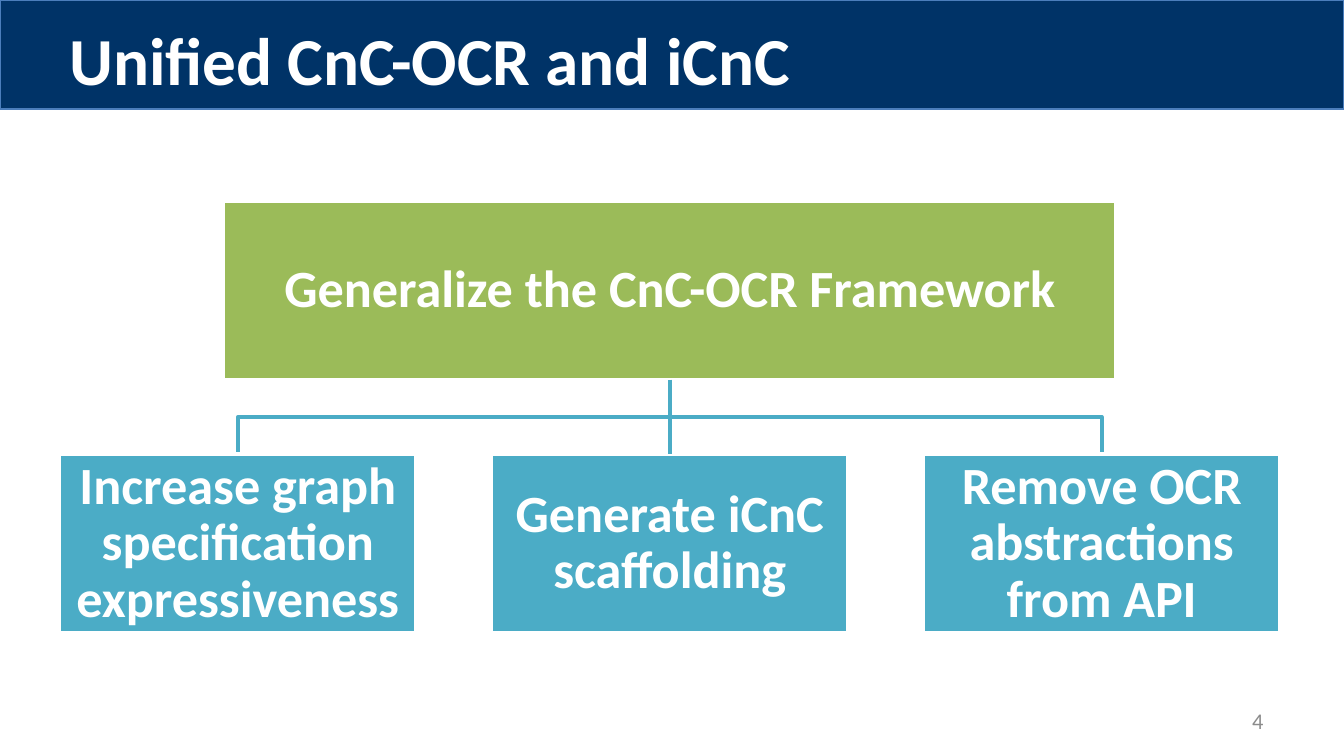
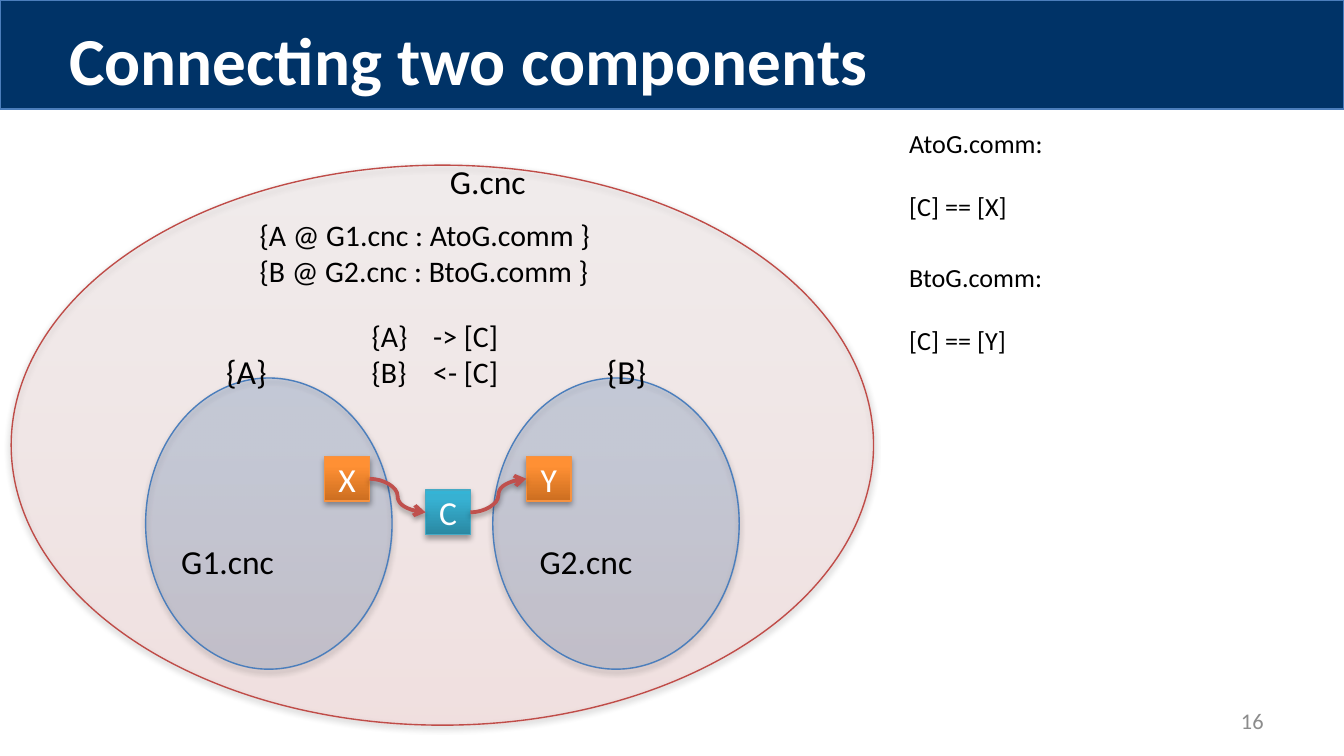
import dataclasses
import typing

import lxml.etree
import pptx
import pptx.dml.color
import pptx.enum.shapes
import pptx.enum.text
import pptx.oxml.ns
import pptx.util

Pt = pptx.util.Pt
qn = pptx.oxml.ns.qn
SHAPE = pptx.enum.shapes.MSO_SHAPE
CONNECTOR = pptx.enum.shapes.MSO_CONNECTOR
ALIGN = pptx.enum.text.PP_ALIGN
MIDDLE = pptx.enum.text.MSO_ANCHOR.MIDDLE

WIDTH, HEIGHT = 720, 405
FONT = "Calibri"
COLORS = {
    "white": "FFFFFF", "black": "000000", "grey": "8C8C8C",
    "navy": "003367", "blue": "4B7EBC", "green": "9BBB59",
    "teal": "4BACC6", "teal edge": "46AAC5", "orange edge": "F69240",
    "red edge": "BF4C48", "arrow": "C0504D",
}
Box = tuple[float, float, float, float]


class Stop(typing.NamedTuple):
    percent: int
    color: str


@dataclasses.dataclass(frozen=True)
class Shadow:
    alpha: int
    blur: float
    distance: float


@dataclasses.dataclass(frozen=True)
class Look:
    """Gradient (from bottom to top), outline and shadow of a shape."""
    stops: tuple[Stop, ...]
    edge: str
    alpha: int = 100
    shadow: Shadow = Shadow(35, 3.1, 1.8)


@dataclasses.dataclass(frozen=True)
class Label:
    box: Box
    lines: tuple[str, ...]
    size: float = 18
    wrap: bool = False
    gap: float = 0
    tab: float = 0


SOFT = Shadow(38, 3.1, 1.6)
GRAPH = Look((Stop(0, "FFA6A5"), Stop(35, "FFC0BF"), Stop(100, "FFE7E7")), "red edge", 18, SOFT)
COMPONENT = Look((Stop(0, "2F5F99"), Stop(80, "3D7CC7"), Stop(100, "3A7CCB")), "blue", 17)
PORT = Look((Stop(0, "CC6E20"), Stop(80, "FF9034"), Stop(100, "FF9136")), "orange edge")
SHARED = Look((Stop(0, "2A88A2"), Stop(80, "37B1D2"), Stop(100, "34B4D6")), "teal edge")


def rgb(name: str):
    return pptx.dml.color.RGBColor.from_string(COLORS[name])


def set_all(target, values: dict) -> None:
    for name, value in values.items():
        setattr(target, name, value)


def add_xml(parent, tag: str, **attributes):
    values = {name: str(value) for name, value in attributes.items()}
    return lxml.etree.SubElement(parent, qn(tag), values)


def write(sp, lines, size, color="black", bold=False, gap=0, tab=0, frame=None, para=None) -> None:
    """Fill a shape with one paragraph per line."""
    tf = sp.text_frame
    set_all(tf, {"word_wrap": True} | (frame or {}))
    for i, line in enumerate(lines):
        p = tf.paragraphs[0] if i == 0 else tf.add_paragraph()
        if tab:
            tabs = add_xml(p._p.get_or_add_pPr(), "a:tabLst")
            add_xml(tabs, "a:tab", pos=Pt(tab), algn="l")
        set_all(p, para or {})
        if i and gap:
            p.space_before = Pt(gap)
        r = p.add_run()
        r.text = line
        set_all(r.font, {"name": FONT, "size": Pt(size), "bold": bold})
        r.font.color.rgb = rgb(color)


def add_text(s, box: Box, lines, size: float, **options) -> None:
    write(s.shapes.add_textbox(*map(Pt, box)), lines, size, **options)


def add_label(s, label: Label) -> None:
    add_text(s, label.box, label.lines, label.size, gap=label.gap, tab=label.tab,
             frame={"word_wrap": label.wrap})


def set_line(sp, color: str, width: float) -> None:
    sp.line.color.rgb = rgb(color)
    sp.line.width = Pt(width)


def add_rect(s, box: Box, fill: str, edge: str, width: float):
    sp = s.shapes.add_shape(SHAPE.RECTANGLE, *map(Pt, box))
    sp.shadow.inherit = False
    sp.fill.solid()
    sp.fill.fore_color.rgb = rgb(fill)
    set_line(sp, edge, width)
    return sp


def add_shadow(effects, shadow: Shadow) -> None:
    outer = add_xml(effects, "a:outerShdw", blurRad=Pt(shadow.blur), dist=Pt(shadow.distance),
                    dir=5400000, rotWithShape=0)
    color = add_xml(outer, "a:srgbClr", val=COLORS["black"])
    add_xml(color, "a:alpha", val=shadow.alpha * 1000)


def add_glossy(s, kind, box: Box, look: Look):
    """Add a shape with a gradient and a shadow."""
    sp = s.shapes.add_shape(kind, *map(Pt, box))
    sp.fill.gradient()
    sp.fill.gradient_angle = 90
    stops = sp._element.spPr.find(".//" + qn("a:gsLst"))
    for old in list(stops):
        stops.remove(old)
    for stop in look.stops:
        gs = add_xml(stops, "a:gs", pos=stop.percent * 1000)
        color = add_xml(gs, "a:srgbClr", val=stop.color)
        if look.alpha < 100:
            add_xml(color, "a:alpha", val=look.alpha * 1000)
    set_line(sp, look.edge, 0.75)
    sp.shadow.inherit = False
    add_shadow(sp._element.spPr.find(qn("a:effectLst")), look.shadow)
    return sp


def add_link(s, kind, start, start_side: int, end, end_side: int, color: str,
             arrow: bool = False, shadow: Shadow | None = None) -> None:
    cx = s.shapes.add_connector(kind, 0, 0, 0, 0)
    cx.begin_connect(start, start_side)
    cx.end_connect(end, end_side)
    set_line(cx, color, 2)
    if arrow:
        add_xml(cx.line._get_or_add_ln(), "a:tailEnd", type="arrow")
    effects = add_xml(cx._element.spPr, "a:effectLst")
    if shadow:
        add_shadow(effects, shadow)


def add_elbow(s, points: list[tuple[float, float]]) -> None:
    (x, y), *rest = [(Pt(a), Pt(b)) for a, b in points]
    builder = s.shapes.build_freeform(x, y)
    builder.add_line_segments(rest, close=False)
    sp = builder.convert_to_shape()
    sp.shadow.inherit = False
    sp.fill.background()
    set_line(sp, "teal", 2)


def add_header(s, title: str) -> None:
    add_rect(s, (0, 0, WIDTH, 58.5), "navy", "blue", 0.75)
    add_text(s, (30, 6.5, 660, 51), [title], 36, color="white", bold=True)


def add_number(s, number: int) -> None:
    add_text(s, (516, 375.4, 168, 21.6), [str(number)], 12, color="grey",
             frame={"vertical_anchor": MIDDLE}, para={"alignment": ALIGN.RIGHT})


def add_goal(s, center: float, top: float, width: float, height: float, fill: str, words: str):
    sp = add_rect(s, (center - width / 2, top, width, height), fill, "white", 2)
    margins = {"margin_" + side: Pt(1.4) for side in ("left", "top", "right", "bottom")}
    write(sp, [words], 28, color="white", bold=True, frame={"vertical_anchor": MIDDLE} | margins,
          para={"alignment": ALIGN.CENTER, "line_spacing": 0.9})
    return sp


def build_goals(s) -> None:
    add_header(s, "Unified CnC-OCR and iCnC")
    center, pitch, height = 358.8, 231.4, 95.6
    top, child_top = 107.8, 243.4
    bottom = top + height
    middle = (bottom + child_top) / 2
    for side in (1, -1):
        x = center + side * pitch
        add_elbow(s, [(center, bottom), (center, middle), (x, middle), (x, child_top)])
    parent = add_goal(s, center, top, 478.6, height, "green", "Generalize the CnC-OCR Framework")
    goals = ("Increase graph specification expressiveness", "Generate iCnC scaffolding",
             "Remove OCR abstractions from API")
    children = [add_goal(s, center + (i - 1) * pitch, child_top, 191.4, height, "teal", goal)
                for i, goal in enumerate(goals)]
    add_link(s, CONNECTOR.STRAIGHT, parent, 2, children[1], 0, "teal")
    add_number(s, 4)


def add_square(s, left: float, top: float, look: Look, letter: str):
    sp = add_glossy(s, SHAPE.RECTANGLE, (left, top, 24, 24), look)
    write(sp, [letter], 18, color="white", frame={"vertical_anchor": MIDDLE},
          para={"alignment": ALIGN.CENTER})
    return sp


def build_components(s) -> None:
    add_glossy(s, SHAPE.OVAL, (6, 88.5, 462, 300), GRAPH)
    add_header(s, "Connecting two components")
    add_number(s, 16)
    for left in (78, 264):
        add_glossy(s, SHAPE.OVAL, (left, 202.5, 132, 156), COMPONENT)
    x = add_square(s, 174, 244.5, PORT, "X")
    c = add_square(s, 228, 262.5, SHARED, "C")
    y = add_square(s, 282, 244.5, PORT, "Y")
    for start, end in ((x, c), (c, y)):
        add_link(s, CONNECTOR.CURVE, start, 3, end, 1, "arrow", arrow=True, shadow=SOFT)

    labels = [
        Label((234, 82.8, 55.4, 29), ("G.cnc",)),
        Label((132, 112.5, 201.6, 46), ("{A @ G1.cnc : AtoG.comm }", "{B @ G2.cnc : BtoG.comm }"), 16),
        Label((192, 166.5, 90, 46), ("{A}\t-> [C]", "{B}\t<- [C]"), 16, wrap=True, tab=33),
        Label((114, 184.5, 36.7, 29), ("{A}",)),
        Label((318, 184.5, 36, 29), ("{B}",)),
        Label((90, 286.5, 64.8, 29), ("G1.cnc",)),
        Label((282, 286.5, 64.8, 29), ("G2.cnc",)),
    ]
    for i, (name, port) in enumerate((("AtoG", "X"), ("BtoG", "Y"))):
        labels.append(Label((480, 64.5 + 72 * i, 204, 58), (f"{name}.comm:", f"[C] == [{port}]"),
                            14, wrap=True, gap=17))
    for label in labels:
        add_label(s, label)


def main() -> None:
    prs = pptx.Presentation()
    set_all(prs, {"slide_width": Pt(WIDTH), "slide_height": Pt(HEIGHT)})
    for build in (build_goals, build_components):
        build(prs.slides.add_slide(prs.slide_layouts[6]))
    prs.save("out.pptx")


if __name__ == "__main__":
    main()
